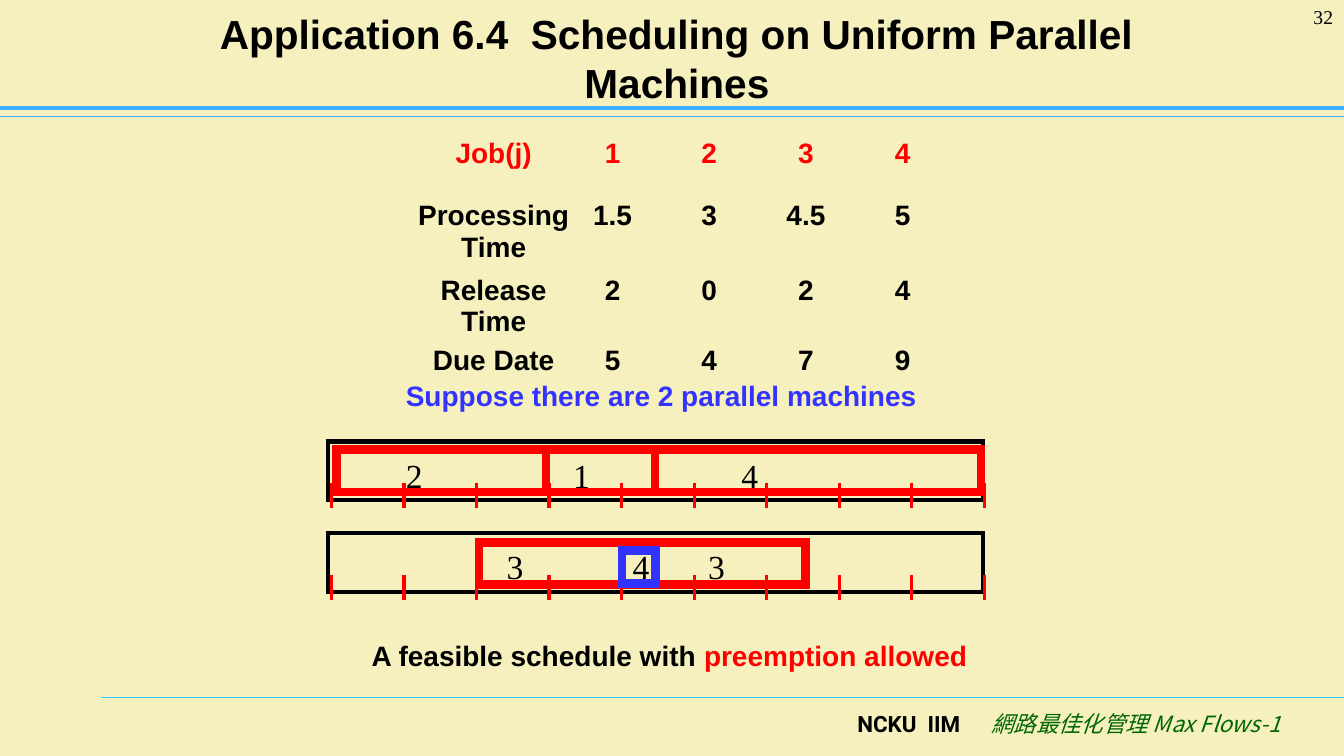
from dataclasses import dataclass

from lxml import etree
from pptx import Presentation
from pptx.dml.color import RGBColor
from pptx.enum.shapes import MSO_CONNECTOR, MSO_SHAPE
from pptx.enum.text import MSO_ANCHOR, PP_ALIGN
from pptx.oxml.ns import qn
from pptx.util import Inches, Pt

LEFT, CENTER, RIGHT = PP_ALIGN.LEFT, PP_ALIGN.CENTER, PP_ALIGN.RIGHT
TOP, MIDDLE = MSO_ANCHOR.TOP, MSO_ANCHOR.MIDDLE
STRAIGHT, RECTANGLE = MSO_CONNECTOR.STRAIGHT, MSO_SHAPE.RECTANGLE
NO_GRID_STYLE = "{2D5ABB26-0587-4C30-8999-92F81FD0307C}"


@dataclass(frozen=True)
class Theme:
    background: str = "F5F0BD"
    black: str = "000000"
    red: str = "FF0000"
    blue: str = "3333FF"
    green: str = "006600"
    header_rule: str = "3DB0FF"
    footer_rule: str = "33CCFF"
    sans: str = "Arial"
    serif: str = "Times New Roman"
    footer: str = "Roboto"
    chinese: str = "Noto Sans CJK SC"
    title_size: int = 29
    job_size: int = 24
    body_size: int = 20
    footer_size: int = 16
    number_size: int = 14


theme = Theme()
WIDTH, HEIGHT = 13.34, 7.5

deck = Presentation()
deck.slide_width, deck.slide_height = Inches(WIDTH), Inches(HEIGHT)
page = deck.slides.add_slide(deck.slide_layouts[6])
page.background.fill.solid()
page.background.fill.fore_color.rgb = RGBColor.from_string(theme.background)


def add_text(area, text, size, face, color=theme.black, bold=False, align=LEFT, anchor=TOP):
    """Add a one-paragraph text box at area (left, top, width, height) and return the paragraph."""
    frame = page.shapes.add_textbox(*map(Inches, area)).text_frame
    frame.word_wrap = True
    frame.vertical_anchor = anchor
    para = frame.paragraphs[0]
    para.text = text
    para.alignment = align
    para.font.size, para.font.name, para.font.bold = Pt(size), face, bold
    para.font.color.rgb = RGBColor.from_string(color)
    return para


def add_outline(left, top, width, height, color, weight):
    """Add an unfilled rectangle with sharp corners."""
    shape = page.shapes.add_shape(RECTANGLE, *map(Inches, (left, top, width, height)))
    shape.shadow.inherit = False
    shape.fill.background()
    shape.line.color.rgb = RGBColor.from_string(color)
    shape.line.width = Pt(weight)
    etree.SubElement(shape.line._get_or_add_ln(), qn("a:miter"), lim="800000")


# Title, page number and footer
add_text((2.02, 0.05, 9.4, 1.04), "Application 6.4  Scheduling on Uniform Parallel Machines",
         theme.title_size, theme.sans, bold=True, align=CENTER, anchor=MIDDLE)
add_text((12.22, 0, 1.11, 0.5), "32", theme.number_size, theme.serif, align=RIGHT)
add_text((7.63, 7, 2, 0.5), "NCKU  IIM", theme.footer_size, theme.footer, bold=True, align=RIGHT)
course = add_text((9.31, 7, 3.5, 0.5), "網路最佳化管理 Max Flows-1", theme.footer_size,
                  theme.chinese, theme.green, align=RIGHT)
course.font.italic = True
etree.SubElement(course.font._element, qn("a:ea"), typeface=theme.chinese)

# Job table
job_rows = [
    ("Job(j)", "1", "2", "3", "4"),
    ("Processing Time", "1.5", "3", "4.5", "5"),
    ("Release Time", "2", "0", "2", "4"),
    ("Due Date", "5", "4", "7", "9"),
]
column_widths = [1.6] + [0.96] * 4
row_heights = [0.62, 0.74, 0.69, 0.33]
job_table = page.shapes.add_table(4, 5, Inches(4.1), Inches(1.37), Inches(sum(column_widths)),
                                  Inches(sum(row_heights))).table
job_table.first_row = job_table.horz_banding = False
job_table._tbl.tblPr.find(qn("a:tableStyleId")).text = NO_GRID_STYLE
for column, width in zip(job_table.columns, column_widths):
    column.width = Inches(width)
for row_index, values in enumerate(job_rows):
    job_table.rows[row_index].height = Inches(row_heights[row_index])
    for column_index, value in enumerate(values):
        cell = job_table.cell(row_index, column_index)
        cell.fill.background()
        cell.margin_left = cell.margin_top = cell.margin_bottom = 0
        cell.margin_right = Inches(0.2 if column_index else 0)
        para = cell.text_frame.paragraphs[0]
        para.text = value
        para.alignment = CENTER
        para.font.size, para.font.name, para.font.bold = Pt(theme.body_size), theme.sans, True
        para.font.color.rgb = RGBColor.from_string(theme.black if row_index else theme.red)

add_text((3.93, 3.71, 5.83, 0.44), "Suppose there are 2 parallel machines",
         theme.body_size, theme.sans, theme.blue, bold=True)

# Machine frames, rules and time ticks
START, UNIT, PERIODS = 3.26, 0.72, 9
machine_tops = [4.38, 5.29]
lines = [
    (1, 6.92, WIDTH, 6.92, theme.footer_rule, 0.75),
    (0, 1.16, WIDTH, 1.16, theme.header_rule, 0.75),
    (0, 1.07, WIDTH, 1.07, theme.header_rule, 2.5),
]
for top in machine_tops:
    add_outline(START, top, UNIT * PERIODS + 0.02, 0.58, theme.black, 3)
    for period in range(PERIODS + 1):
        tick = START + 0.03 + period * UNIT
        lines.append((tick, top + 0.41, tick, top + 0.66, theme.red, 2.25))
for x1, y1, x2, y2, color, weight in lines:
    line = page.shapes.add_connector(STRAIGHT, *map(Inches, (x1, y1, x2, y2)))
    line.line.color.rgb = RGBColor.from_string(color)
    line.line.width = Pt(weight)
    etree.SubElement(line._element.spPr, qn("a:effectLst"))

# Scheduled jobs: machine, start and end in periods, inset, height, colour
bars = [
    (0, 0.11, 3, 0.08, 0.42, theme.red),
    (0, 3, 4.5, 0.08, 0.42, theme.red),
    (0, 4.5, 9, 0.08, 0.42, theme.red),
    (1, 2.08, 6.58, 0.09, 0.42, theme.red),
    (1, 4.05, 4.51, 0.17, 0.33, theme.blue),
]
for machine, begin, end, inset, height, color in bars:
    add_outline(START + begin * UNIT, machine_tops[machine] + inset, (end - begin) * UNIT,
                height, color, 6)

job_labels = [(0, 3.93, "2"), (0, 5.59, "1"), (0, 7.26, "4"),
              (1, 4.93, "3"), (1, 6.18, "4"), (1, 6.93, "3")]
for machine, left, job in job_labels:
    add_text((left, machine_tops[machine] + 0.08, 0.92, 0.5), job, theme.job_size, theme.serif)

conclusion = add_text((3.59, 6.29, 7, 0.44), "A feasible schedule with ",
                      theme.body_size, theme.sans, bold=True)
span = conclusion.add_run()
span.text = "preemption allowed"
span.font.color.rgb = RGBColor.from_string(theme.red)

deck.save("out.pptx")
